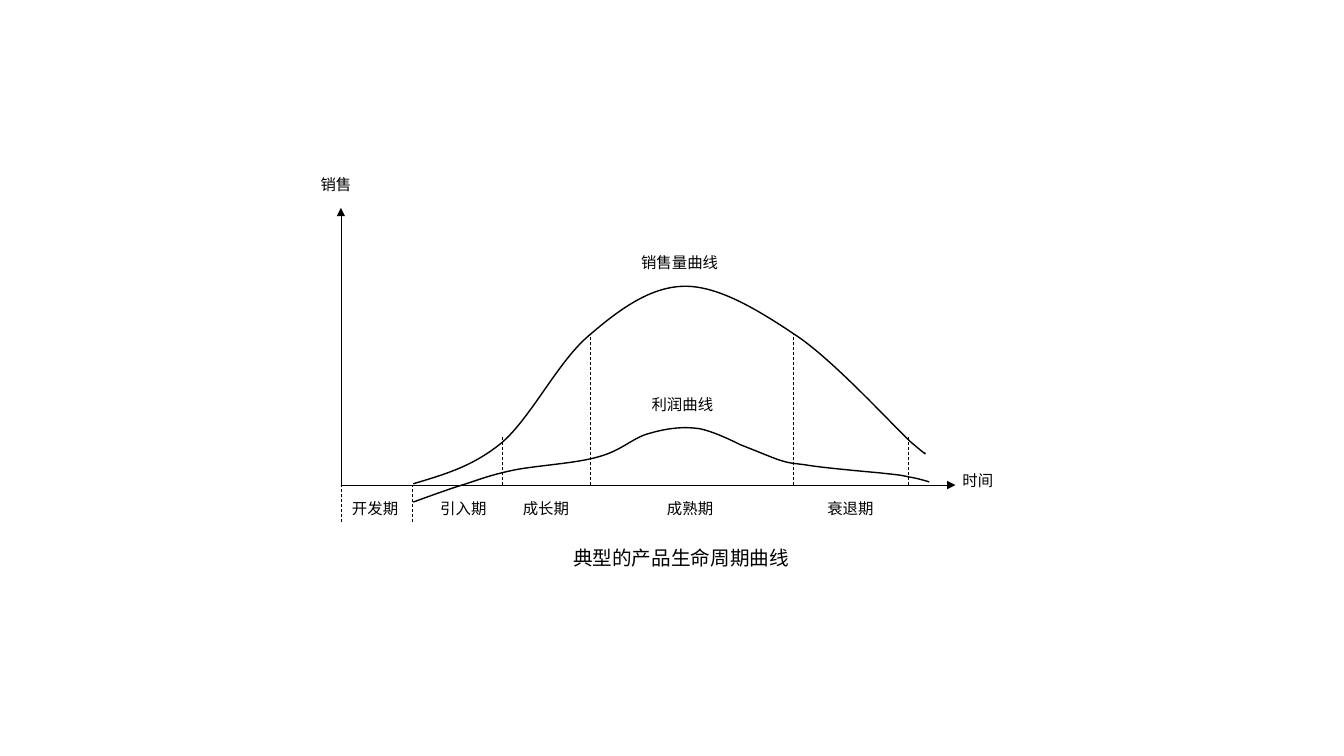
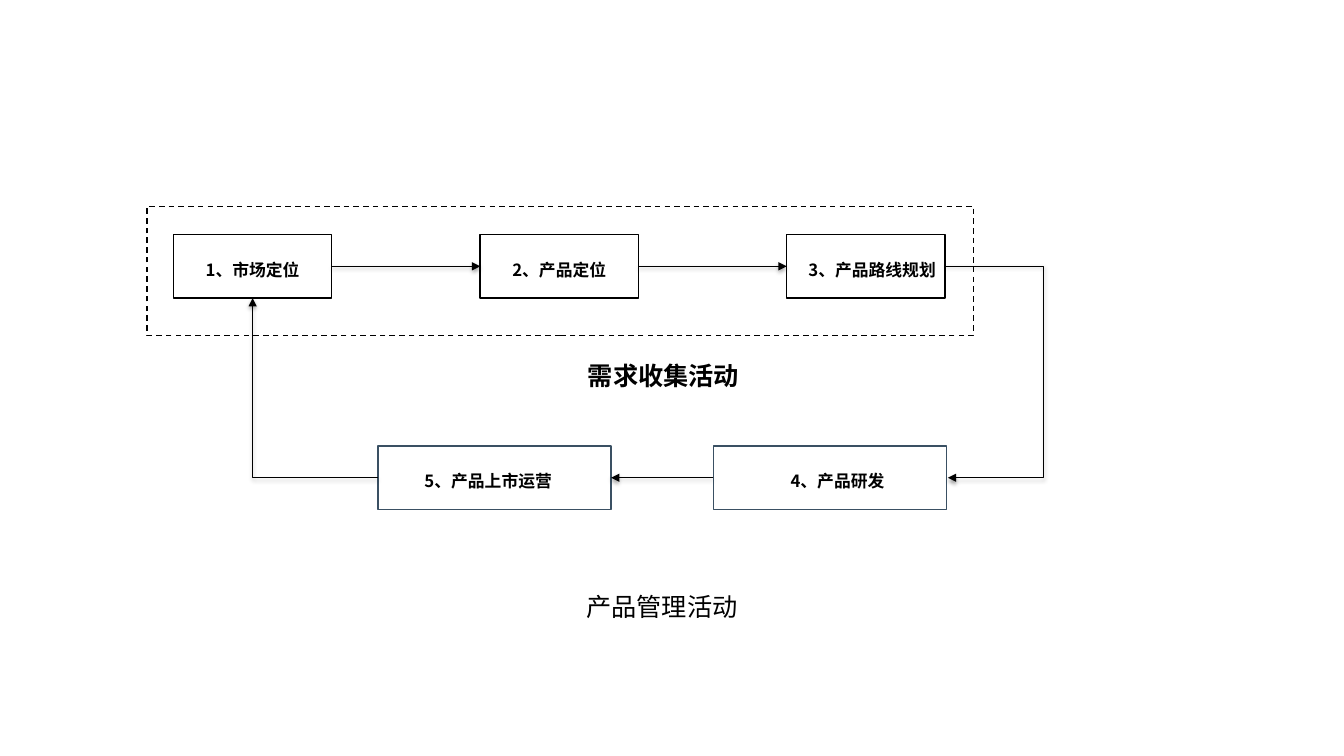
from lxml.etree import SubElement
from pptx import Presentation
from pptx.dml.color import RGBColor
from pptx.enum.dml import MSO_LINE
from pptx.enum.shapes import MSO_CONNECTOR as CONN, MSO_SHAPE as SHAPE
from pptx.enum.text import MSO_ANCHOR as ANCHOR, MSO_AUTO_SIZE as AUTO, PP_ALIGN as ALIGN
from pptx.oxml.ns import qn
from pptx.util import Pt

COLORS = {"ink": "000000", "paper": "FFFFFF", "slate": "3A5063"}
FONT = "Noto Sans CJK SC"
TOP, LEFT, BOTTOM, RIGHT = range(4)  # connection sites of a rectangle


def rgb(name):
    return RGBColor.from_string(COLORS[name])


class Deck:
    def __init__(self):
        self.prs = Presentation()
        self.prs.slide_width, self.prs.slide_height = Pt(960), Pt(540)
        self.slide = None

    @property
    def shapes(self):
        return self.slide.shapes

    def new_slide(self):
        self.slide = self.prs.slides.add_slide(self.prs.slide_layouts[5])

    def set_text(self, sp, text, size, bold=False, spacing=1.0, insets=(0, 0, 0, 0)):
        """Set centred text; insets run left, top, right, bottom."""
        tf = sp.text_frame
        tf.word_wrap = True
        tf.auto_size = AUTO.NONE
        tf.vertical_anchor = ANCHOR.MIDDLE
        (tf.margin_left, tf.margin_top,
         tf.margin_right, tf.margin_bottom) = map(Pt, insets)
        p = tf.paragraphs[0]
        p.text = text
        p.alignment = ALIGN.CENTER
        p.line_spacing = spacing
        font = p.font
        font.size, font.bold, font.name = Pt(size), bold, FONT
        font.color.rgb = rgb("ink")
        SubElement(p._p.pPr.find(qn("a:defRPr")), qn("a:ea"), typeface=FONT)

    def title(self, text, x, y, w, h, size, spacing=1.0):
        sp = self.shapes.title
        sp.left, sp.top, sp.width, sp.height = map(Pt, (x, y, w, h))
        self.set_text(sp, text, size, spacing=spacing)

    def label(self, text, cx, cy, size=11, w=80, h=20, **style):
        """Text box centred on a point."""
        sp = self.shapes.add_textbox(Pt(cx - w / 2), Pt(cy - h / 2), Pt(w), Pt(h))
        self.set_text(sp, text, size, **style)

    def outline(self, line, color="ink", width=1.0, dashed=False):
        line.color.rgb = rgb(color)
        line.width = Pt(width)
        if dashed:
            line.dash_style = MSO_LINE.DASH

    def box(self, x, y, w, h, color="ink", fill=None, dashed=False):
        sp = self.shapes.add_shape(SHAPE.RECTANGLE, *map(Pt, (x, y, w, h)))
        sp.shadow.inherit = False
        if fill:
            sp.fill.solid()
            sp.fill.fore_color.rgb = rgb(fill)
        else:
            sp.fill.background()
        self.outline(sp.line, color, dashed=dashed)
        return sp

    def line(self, start, end, kind=CONN.STRAIGHT, arrow=False, dashed=False, shadow=False):
        c = self.shapes.add_connector(kind, *map(Pt, (*start, *end)))
        self.outline(c.line, width=0.5, dashed=dashed)
        props = c._element.spPr
        if arrow:
            SubElement(props.find(qn("a:ln")), qn("a:tailEnd"), type="triangle")
        effects = SubElement(props, qn("a:effectLst"))
        if shadow:
            cast = SubElement(effects, qn("a:outerShdw"), blurRad=str(Pt(3)),
                              dist=str(Pt(1.6)), dir="5400000", rotWithShape="0")
            color = SubElement(cast, qn("a:srgbClr"), val=COLORS["ink"])
            SubElement(color, qn("a:alpha"), val="38000")
        return c

    def flow(self, source, source_site, target, target_site, kind=CONN.STRAIGHT):
        """Arrow glued to two boxes."""
        c = self.line((0, 0), (0, 0), kind, arrow=True, shadow=True)
        c.begin_connect(source, source_site)
        c.end_connect(target, target_site)
        return c

    def bend(self, connector, preset, adjust=None):
        """Choose the elbow preset; adjust is the bend as a share of the width."""
        geometry = connector._element.spPr.find(qn("a:prstGeom"))
        geometry.set("prst", preset)
        if adjust is not None:
            SubElement(geometry.find(qn("a:avLst")), qn("a:gd"), name="adj1",
                       fmla=f"val {round(adjust * 100000)}")

    def curve(self, points):
        """Bezier curve: a start, then two controls and an end per segment."""
        start, *rest = [(Pt(x), Pt(y)) for x, y in points]
        builder = self.shapes.build_freeform(*start)
        builder.add_line_segments(rest, close=False)
        sp = builder.convert_to_shape()
        sp.shadow.inherit = False
        sp.fill.background()
        self.outline(sp.line)
        outline = sp._element.find(".//" + qn("a:path"))
        lines = outline.findall(qn("a:lnTo"))
        for i in range(0, len(lines), 3):
            segment = SubElement(outline, qn("a:cubicBezTo"))
            for ln in lines[i:i + 3]:
                segment.append(ln[0])
                outline.remove(ln)


SALES = [
    (295.2, 345.6),
    (316.8, 339.1), (337.7, 333.4), (358.6, 316.1),
    (379.4, 298.1), (398.2, 259.2), (419.8, 240.5),
    (441.4, 221.8), (464.4, 204.5), (489.6, 204.5),
    (514.8, 204.5), (544.3, 223.2), (571, 241.2),
    (597.6, 259.9), (635.8, 301.7), (650.2, 315.4),
    (665.3, 328.3), (660.2, 323.3), (660.2, 323.3),
]
PROFIT = [
    (295.2, 358.6),
    (307.4, 354.2), (319, 349.9), (330.5, 346.3),
    (342, 342.7), (348.5, 339.8), (365, 336.2),
    (380.9, 332.6), (411.1, 331.2), (427.7, 326.2),
    (444.2, 321.8), (452.2, 312.5), (463.7, 309.6),
    (475.9, 306), (487.4, 304.6), (498.2, 306),
    (509, 307.4), (528.5, 317.5), (528.5, 317.5),
    (537.8, 321.1), (547.9, 325.4), (555.8, 328.3),
    (563, 330.5), (562.3, 330.5), (574.6, 331.9),
    (586.1, 334.1), (627.8, 337.7), (627.8, 337.7),
    (640.1, 339.1), (643, 339.1), (648.7, 340.6),
    (654.5, 341.3), (663.8, 344.2), (663.8, 344.2),
]


def life_cycle(deck):
    deck.new_slide()
    x0, y0 = origin = (243.5, 346.5)
    deck.line(origin, (x0, 148.5), arrow=True)
    deck.line(origin, (682.5, y0), arrow=True)
    dividers = [(x0, 373), (294.5, 373), (358.5, 311),
                (421.5, 238.5), (566.5, 238.5), (648.5, 311)]
    for x, y in dividers:
        deck.line((x, max(y, y0)), (x, min(y, y0)), dashed=True)
    deck.curve(SALES)
    deck.curve(PROFIT)
    for text, x, y in [("销售", 240, 132), ("时间", 698.5, 343),
                       ("销售量曲线", 485.5, 187.5), ("利润曲线", 487.5, 289)]:
        deck.label(text, x, y)
    for text, x in [("开发期", 268), ("引入期", 331), ("成长期", 390),
                    ("成熟期", 493), ("衰退期", 607.5)]:
        deck.label(text, x, 363)
    deck.title("典型的产品生命周期曲线", 386.5, 386, 200, 24, 14)


def management(deck):
    deck.new_slide()
    deck.box(105, 147.5, 590.5, 92, fill="paper", dashed=True)
    height, top_y, bottom_y = 45.5, 167.5, 318.5

    def step(text, x, y, w, color, left, right):
        sp = deck.box(x, y, w, height, color)
        deck.set_text(sp, text, 12, bold=True, spacing=1.2, insets=(left, 2, right, 0))
        return sp

    top_row = [("1、市场定位", 19.5, 19.5), ("2、产品定位", 19.5, 19.5),
               ("3、产品路线规划", 14.5, 5.5)]
    market, product, roadmap = [
        step(text, 124 + 219 * i, top_y, 113, "ink", left, right)
        for i, (text, left, right) in enumerate(top_row)]
    launch = step("5、产品上市运营", 270, bottom_y, 166.5, "slate", 32, 41)
    develop = step("4、产品研发", 509.5, bottom_y, 166.5, "slate", 52, 41)

    deck.flow(market, RIGHT, product, LEFT)
    deck.flow(product, RIGHT, roadmap, LEFT)
    deck.flow(develop, LEFT, launch, RIGHT)
    deck.bend(deck.flow(launch, LEFT, market, BOTTOM, CONN.ELBOW), "bentConnector2")
    start_x, end_x, turn_x = 675, 677, 745
    loop = deck.line((start_x, top_y + height / 2), (end_x, bottom_y + height / 2),
                     CONN.ELBOW, arrow=True, shadow=True)
    deck.bend(loop, "bentConnector3", (turn_x - start_x) / (end_x - start_x))

    deck.label("需求收集活动", 474, 266, 18, w=268, h=24, bold=True, spacing=1.2)
    deck.title("产品管理活动", 309, 419, 327.5, 24.5, 18, spacing=1.2)


def main():
    deck = Deck()
    life_cycle(deck)
    management(deck)
    deck.prs.save("out.pptx")


if __name__ == "__main__":
    main()
